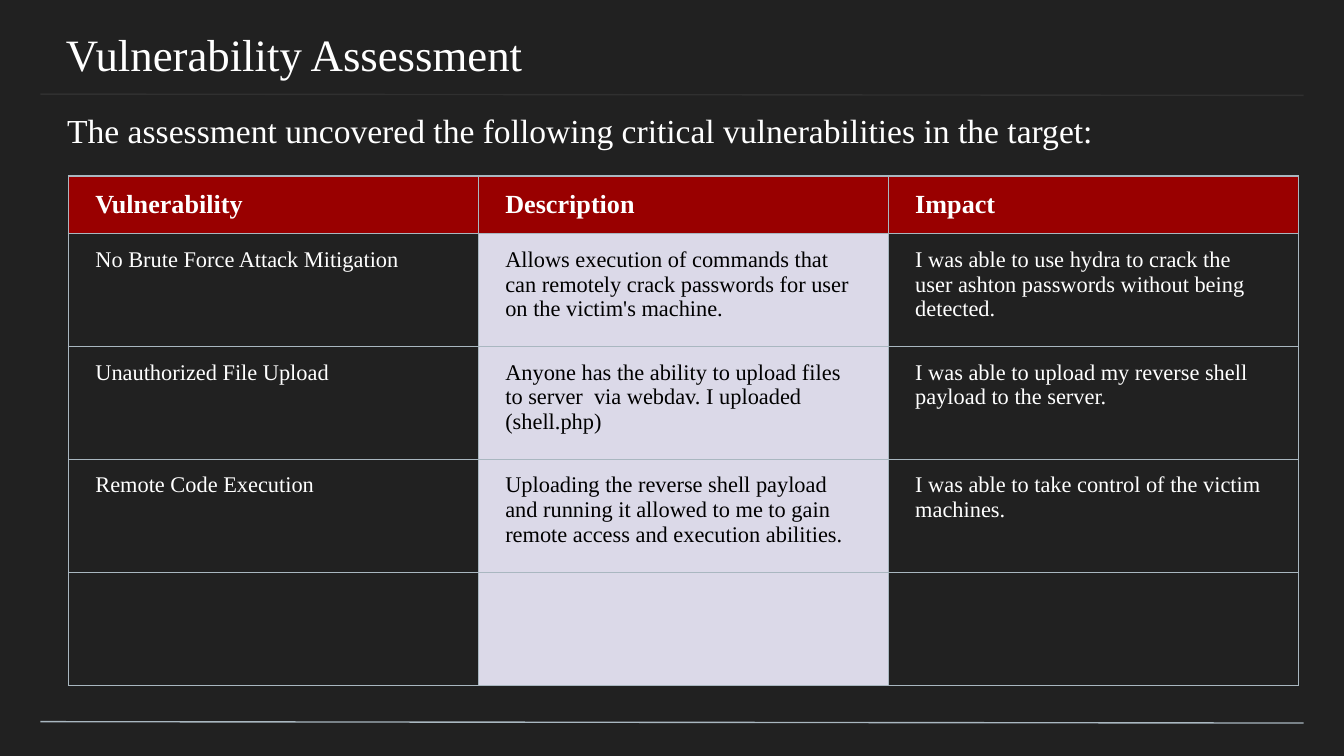
from dataclasses import dataclass
from typing import Any

from lxml.etree import SubElement
from pptx import Presentation
from pptx.dml.color import RGBColor
from pptx.enum.shapes import MSO_CONNECTOR
from pptx.enum.text import MSO_ANCHOR, PP_ALIGN
from pptx.oxml.ns import qn
from pptx.util import Inches, Pt


@dataclass(frozen=True)
class Theme:
    font: str = "Times New Roman"
    background: str = "212121"
    text: str = "FFFFFF"
    dark_text: str = "000000"
    header: str = "990000"
    highlight: str = "DBD9E8"
    border: str = "A9B7C0"
    faint_rule: str = "303030"
    line_width: float = 0.75
    title_size: int = 24
    subtitle_size: int = 18
    header_size: int = 14
    cell_size: int = 12


@dataclass(frozen=True)
class Rule:
    top: float
    color: str


@dataclass(frozen=True)
class Heading:
    text: str
    box: tuple[float, float, float, float]
    insets: tuple[float, float, float, float]
    size: int
    paragraph_format: dict[str, Any]


THEME = Theme()
RULES = [Rule(0.7, THEME.faint_rule), Rule(5.37, THEME.border)]
HEADINGS = [
    Heading("Vulnerability Assessment", (-0.01, 0, 10.03, 0.58),
            (0.5, 0.2, 0.3, 0.1), THEME.title_size, {}),
    Heading("The assessment uncovered the following critical vulnerabilities in the target:",
            (0, 0.74, 10, 0.4), (0.5, 0.1, 0.5, 0), THEME.subtitle_size,
            {"line_spacing": 0.95, "space_after": Pt(12)}),
]
FINDINGS = [
    ("Vulnerability", "Description", "Impact"),
    ("No Brute Force Attack Mitigation",
     "Allows execution of commands that can remotely crack passwords for user "
     "on the victim's machine.",
     "I was able to use hydra to crack the user ashton passwords without being detected."),
    ("Unauthorized File Upload",
     "Anyone has the ability to upload files to server  via webdav. I uploaded (shell.php)",
     "I was able to upload my reverse shell payload to the server."),
    ("Remote Code Execution",
     "Uploading the reverse shell payload and running it allowed to me to gain "
     "remote access and execution abilities.",
     "I was able to take control of the victim machines."),
    ("", "", ""),
]
COLUMN_WIDTH, HEADER_HEIGHT, ROW_HEIGHT = 3.05, 0.43, 0.84
DESCRIPTION_COLUMN = 1


def apply_format(target: Any, values: dict[str, Any]) -> None:
    for name, value in values.items():
        setattr(target, name, value)


def format_font(font: Any, size: int, color: str, bold: bool = False) -> None:
    apply_format(font, {"name": THEME.font, "size": Pt(size), "bold": bold})
    font.color.rgb = RGBColor.from_string(color)


def draw_rule(page: Any, rule: Rule) -> None:
    line = page.shapes.add_connector(
        MSO_CONNECTOR.STRAIGHT, Inches(0.3), Inches(rule.top),
        Inches(9.7), Inches(rule.top + 0.01))
    line.line.color.rgb = RGBColor.from_string(rule.color)
    line.line.width = Pt(THEME.line_width)
    SubElement(line.element.spPr, qn("a:effectLst"))


def fill_heading(box: Any, heading: Heading) -> None:
    apply_format(box, dict(zip(("left", "top", "width", "height"),
                               map(Inches, heading.box))))
    frame = box.text_frame
    frame.text = heading.text
    margins = ("margin_left", "margin_top", "margin_right", "margin_bottom")
    apply_format(frame, dict(zip(margins, map(Inches, heading.insets))))
    apply_format(frame, {"vertical_anchor": MSO_ANCHOR.TOP, "word_wrap": True})
    para = frame.paragraphs[0]
    apply_format(para, {"alignment": PP_ALIGN.LEFT, "space_before": Pt(0),
                        **heading.paragraph_format})
    format_font(para.runs[0].font, heading.size, THEME.text)


def draw_borders(cell: Any) -> None:
    properties = cell._tc.get_or_add_tcPr()
    for side in ("lnL", "lnR", "lnT", "lnB"):
        line = SubElement(properties, qn(f"a:{side}"), w=str(Pt(THEME.line_width)))
        SubElement(SubElement(line, qn("a:solidFill")), qn("a:srgbClr"), val=THEME.border)


def fill_cell(cell: Any, text: str, is_header: bool, is_description: bool) -> None:
    draw_borders(cell)
    fill = THEME.header if is_header else THEME.highlight if is_description else None
    if fill:
        cell.fill.solid()
        cell.fill.fore_color.rgb = RGBColor.from_string(fill)
    else:
        cell.fill.background()
    apply_format(cell, {
        "margin_left": Inches(0.2), "margin_right": Inches(0.2),
        "margin_top": Inches(0.1), "margin_bottom": Inches(0.1),
        "vertical_anchor": MSO_ANCHOR.MIDDLE if is_header else MSO_ANCHOR.TOP})
    if text:
        cell.text = text
        span = cell.text_frame.paragraphs[0].runs[0]
        color = THEME.dark_text if is_description and not is_header else THEME.text
        size = THEME.header_size if is_header else THEME.cell_size
        format_font(span.font, size, color, bold=is_header)


def draw_findings(page: Any, findings: list[tuple[str, ...]]) -> None:
    row_count, column_count = len(findings), len(findings[0])
    table = page.shapes.add_table(
        row_count, column_count, Inches(0.51), Inches(1.31),
        Inches(COLUMN_WIDTH * column_count),
        Inches(HEADER_HEIGHT + ROW_HEIGHT * (row_count - 1))).table
    apply_format(table, {"first_row": False, "horz_banding": False})
    for column in table.columns:
        column.width = Inches(COLUMN_WIDTH)
    for row_index, finding in enumerate(findings):
        is_header = row_index == 0
        table.rows[row_index].height = Inches(HEADER_HEIGHT if is_header else ROW_HEIGHT)
        for column_index, text in enumerate(finding):
            fill_cell(table.cell(row_index, column_index), text, is_header,
                      column_index == DESCRIPTION_COLUMN)


def main() -> None:
    deck = Presentation()
    # A 16:9 page
    apply_format(deck, {"slide_width": Inches(10), "slide_height": Inches(10 * 9 / 16)})
    page = deck.slides.add_slide(deck.slide_layouts[0])
    page.background.fill.solid()
    page.background.fill.fore_color.rgb = RGBColor.from_string(THEME.background)

    # Rules under the title and at the foot
    for rule in RULES:
        draw_rule(page, rule)

    # Title and subtitle
    for box, heading in zip(page.placeholders, HEADINGS):
        fill_heading(box, heading)

    # Table of vulnerabilities
    draw_findings(page, FINDINGS)
    deck.save("out.pptx")


if __name__ == "__main__":
    main()
